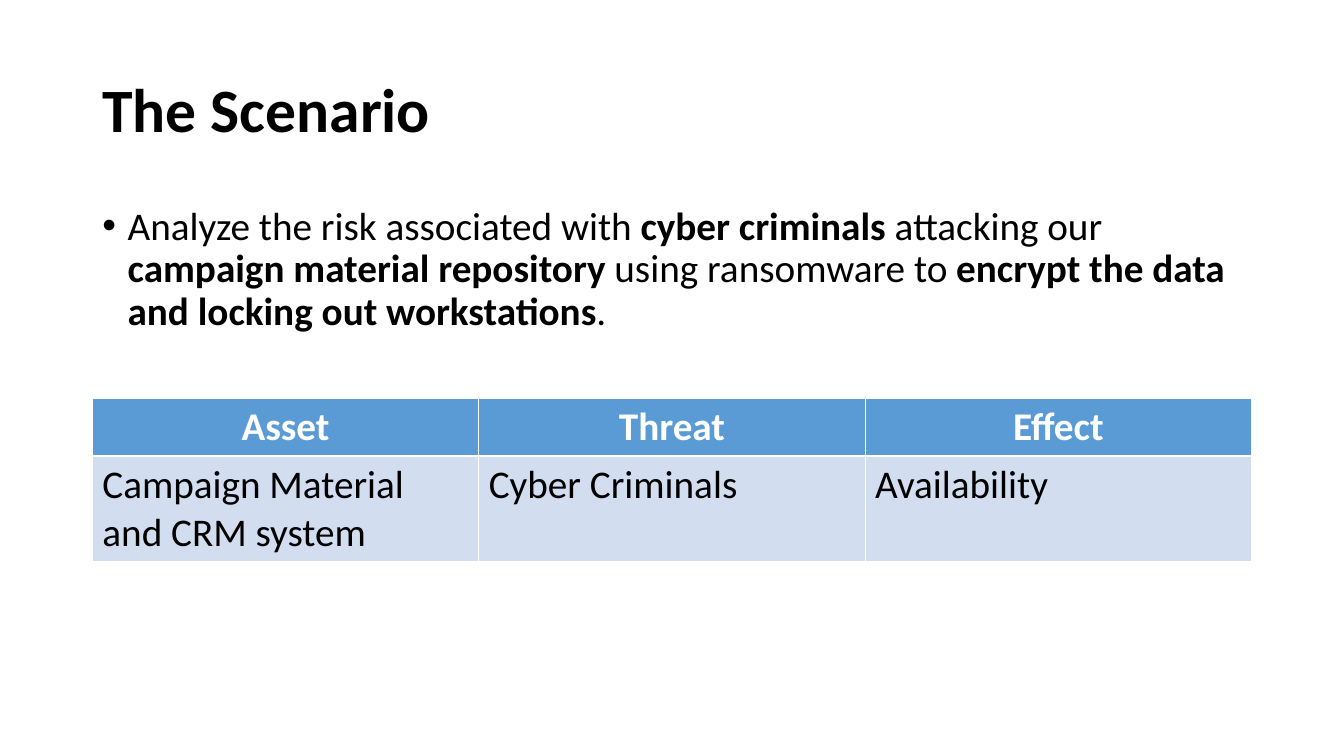
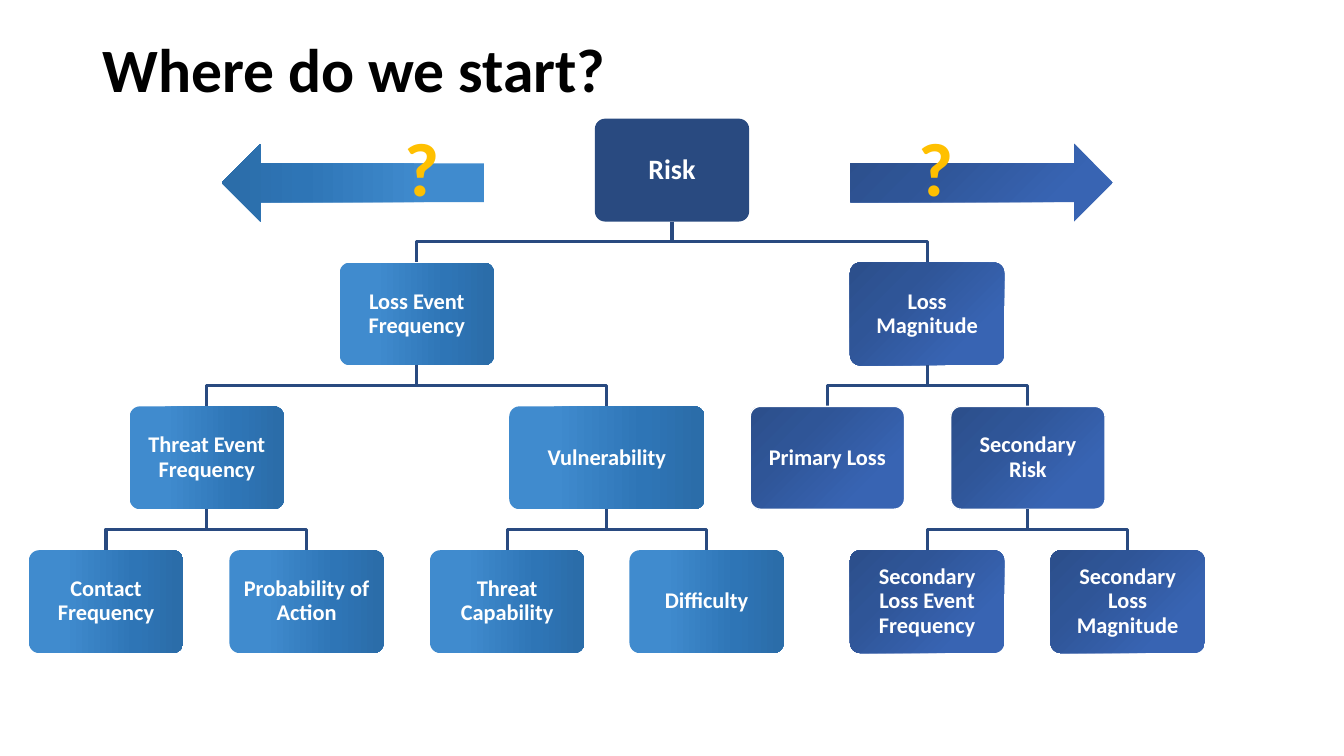
from lxml.etree import SubElement
from pptx import Presentation
from pptx.dml.color import RGBColor
from pptx.enum.shapes import MSO_SHAPE
from pptx.enum.text import MSO_ANCHOR, MSO_AUTO_SIZE, PP_ALIGN
from pptx.oxml.ns import qn
from pptx.util import Pt

PX = 9525
FONT = "Calibri"
COLOURS = {
    "black": "000000",
    "white": "FFFFFF",
    "navy": "294A80",
    "header": "5B9BD5",
    "row": "D2DEEF",
    "amber": "FFC000",
}
# Gradient stops (percent, colour) and counter-clockwise angle per branch
GRADIENTS = {
    "frequency": ([(0, "408BCE"), (23, "408BCE"), (69, "2E75B6"), (97, "2B6DA9")], 0),
    "magnitude": ([(0, "3864B3"), (23, "3864B3"), (69, "2F5597"), (97, "2C4F8C")], 135),
}


def format_runs(paragraph, size, colour, bold):
    for run in paragraph.runs:
        run.font.name = FONT
        run.font.size = Pt(size)
        run.font.bold = bold
        run.font.color.rgb = RGBColor.from_string(COLOURS[colour])


def paint_branch(shape, branch):
    """Fill a shape with its branch gradient, without shadow or outline."""
    stops, angle = GRADIENTS[branch]
    shape.shadow.inherit = False
    shape.line.fill.background()
    shape.fill.gradient()
    shape.fill.gradient_angle = angle
    stop_list = shape.element.spPr.find(qn("a:gradFill")).find(qn("a:gsLst"))
    for old_stop in list(stop_list):
        stop_list.remove(old_stop)
    for percent, colour in stops:
        stop = SubElement(stop_list, qn("a:gs"), pos=str(percent * 1000))
        SubElement(stop, qn("a:srgbClr"), val=colour)


prs = Presentation()
prs.slide_width, prs.slide_height = 1280 * PX, 720 * PX

# Slides with their titles: layout 1 is title and content, 5 is title only
slides = []
for layout, heading, top in [(1, "The Scenario", 38), (5, "Where do we start?", 0)]:
    slide = prs.slides.add_slide(prs.slide_layouts[layout])
    title = slide.shapes.title
    title.left, title.top, title.width, title.height = 88 * PX, top * PX, 1104 * PX, 139 * PX
    title.text_frame.text = heading
    title.text_frame.auto_size = MSO_AUTO_SIZE.NONE
    title.text_frame.vertical_anchor = MSO_ANCHOR.MIDDLE
    title_line = title.text_frame.paragraphs[0]
    title_line.alignment = PP_ALIGN.LEFT
    title_line.line_spacing = 0.9
    format_runs(title_line, 44, "black", True)
    slides.append(slide)
scenario, start = slides

# The Scenario: task description
body = scenario.placeholders[1]
body.left, body.top, body.width, body.height = 88 * PX, 192 * PX, 1104 * PX, 457 * PX
body.text_frame.auto_size = MSO_AUTO_SIZE.NONE
task = body.text_frame.paragraphs[0]
task.line_spacing = 0.9
task.space_before = Pt(10)
bullet_format = task._p.get_or_add_pPr()
bullet_format.set("marL", str(24 * PX))
bullet_format.set("indent", str(-24 * PX))
phrases = [
    "Analyze the risk associated with ",
    "cyber criminals ",
    "attacking our ",
    "campaign material repository ",
    "using ransomware to ",
    "encrypt the data and locking out workstations",
    ".",
]
for phrase in phrases:
    task.add_run().text = phrase
format_runs(task, 28, "black", False)
for key_phrase in task.runs[1::2]:
    key_phrase.font.bold = True

# The Scenario: scope table
scope_rows = [
    ("Asset", "Threat", "Effect"),
    ("Campaign Material and CRM system", "Cyber Criminals", "Availability"),
]
scope = scenario.shapes.add_table(2, 3, 88 * PX, 379 * PX, 1104 * PX, 153 * PX).table
for row, (height, texts) in enumerate(zip((54, 99), scope_rows)):
    scope.rows[row].height = height * PX
    is_header = row == 0
    for column, text in enumerate(texts):
        cell = scope.cell(row, column)
        cell.fill.solid()
        cell.fill.fore_color.rgb = RGBColor.from_string(COLOURS["header" if is_header else "row"])
        cell.text_frame.text = text
        cell_line = cell.text_frame.paragraphs[0]
        cell_line.alignment = PP_ALIGN.CENTER if is_header else PP_ALIGN.LEFT
        format_runs(cell_line, 28, "white" if is_header else "black", is_header)

# Where do we start?: risk tree
NODE_WIDTH, NODE_HEIGHT = 147, 98
TREE_TOP, LEVEL_STEP = 113, 137
# label, level, centre, branch, parent
tree = [
    ("Risk", 0, 640, None, None),
    ("Loss Event Frequency", 1, 397, "frequency", "Risk"),
    ("Threat Event Frequency", 2, 197, "frequency", "Loss Event Frequency"),
    ("Contact Frequency", 3, 101, "frequency", "Threat Event Frequency"),
    ("Probability of Action", 3, 292, "frequency", "Threat Event Frequency"),
    ("Vulnerability", 2, 578, "frequency", "Loss Event Frequency"),
    ("Threat Capability", 3, 483, "frequency", "Vulnerability"),
    ("Difficulty", 3, 673, "frequency", "Vulnerability"),
    ("Loss Magnitude", 1, 883, "magnitude", "Risk"),
    ("Primary Loss", 2, 788, "magnitude", "Loss Magnitude"),
    ("Secondary Risk", 2, 979, "magnitude", "Loss Magnitude"),
    ("Secondary Loss Event Frequency", 3, 883, "magnitude", "Secondary Risk"),
    ("Secondary Loss Magnitude", 3, 1074, "magnitude", "Secondary Risk"),
]
centres = {label: centre for label, _, centre, _, _ in tree}
for label, level, centre, branch, parent in tree:
    top = TREE_TOP + LEVEL_STEP * level
    if parent:
        parent_bottom = top - LEVEL_STEP + NODE_HEIGHT
        bend = (parent_bottom + top) // 2
        outline = start.shapes.build_freeform(centres[parent], parent_bottom, scale=PX)
        outline.add_line_segments([(centres[parent], bend), (centre, bend), (centre, top)], close=False)
        branch_line = outline.convert_to_shape()
        branch_line.shadow.inherit = False
        branch_line.fill.background()
        branch_line.line.color.rgb = RGBColor.from_string(COLOURS["navy"])
        branch_line.line.width = Pt(2.25)

    width = 186 if label == "Vulnerability" else NODE_WIDTH
    node = start.shapes.add_shape(
        MSO_SHAPE.ROUNDED_RECTANGLE,
        (centre * 2 - width) * PX // 2, top * PX, width * PX, NODE_HEIGHT * PX,
    )
    node.adjustments[0] = 0.1
    if branch:
        paint_branch(node, branch)
    else:
        node.shadow.inherit = False
        node.line.fill.background()
        node.fill.solid()
        node.fill.fore_color.rgb = RGBColor.from_string(COLOURS["navy"])
    if label in ("Primary Loss", "Secondary Risk"):
        node.line.color.rgb = RGBColor.from_string(COLOURS["white"])
        node.line.width = Pt(1)
    frame = node.text_frame
    frame.margin_left = frame.margin_right = frame.margin_top = frame.margin_bottom = 10 * PX
    frame.word_wrap = True
    frame.vertical_anchor = MSO_ANCHOR.MIDDLE
    frame.text = label
    node_line = frame.paragraphs[0]
    node_line.alignment = PP_ALIGN.CENTER
    node_line.line_spacing = 0.9
    format_runs(node_line, 16 if parent else 20, "white", True)

# Where do we start?: the two possible directions
for arrow_left, rotation, branch, mark_left in [
    (810, 0, "magnitude", 865),
    (211, 180, "frequency", 376),
]:
    arrow = start.shapes.add_shape(
        MSO_SHAPE.RIGHT_ARROW, arrow_left * PX, 137 * PX, 250 * PX, 74 * PX
    )
    arrow.rotation = rotation
    paint_branch(arrow, branch)
    question = start.shapes.add_textbox(mark_left * PX, 110 * PX, 53 * PX, 97 * PX)
    question.text_frame.word_wrap = False
    question.text_frame.auto_size = MSO_AUTO_SIZE.SHAPE_TO_FIT_TEXT
    question.text_frame.text = "?"
    format_runs(question.text_frame.paragraphs[0], 54, "amber", True)

prs.save("out.pptx")
